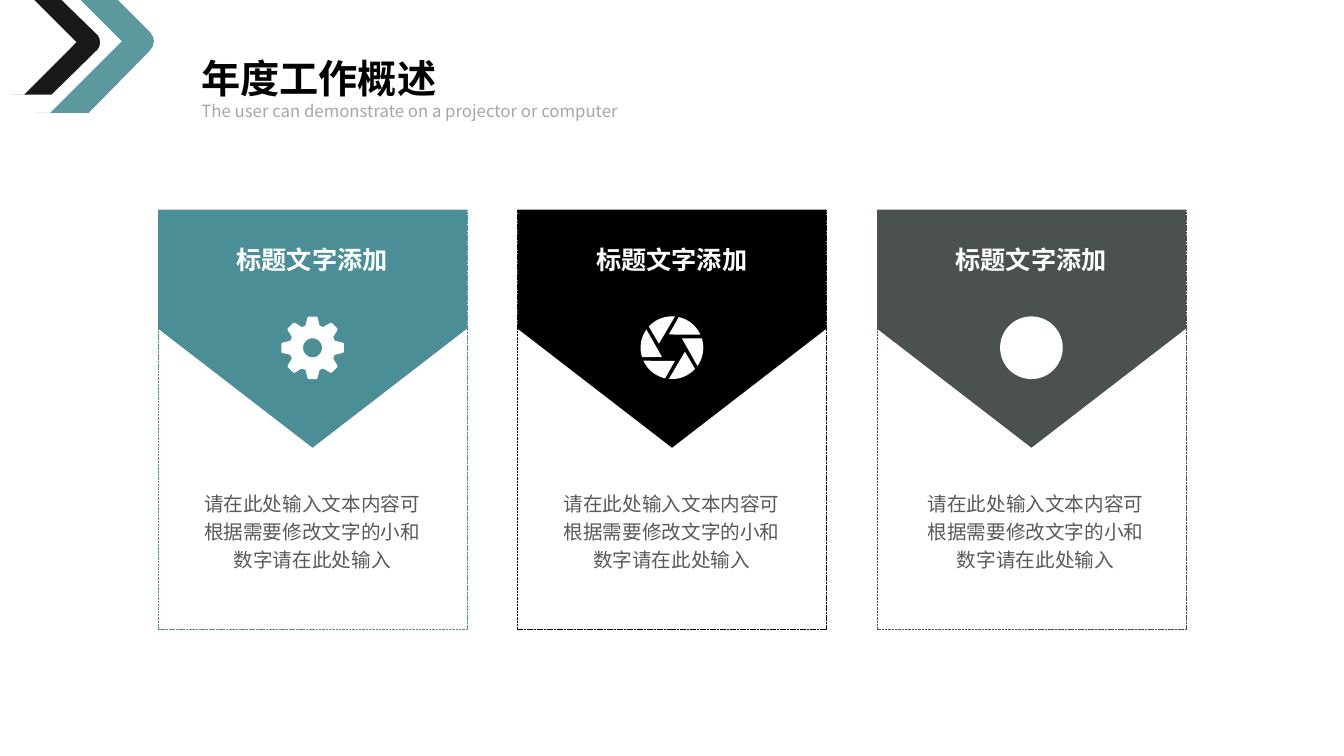
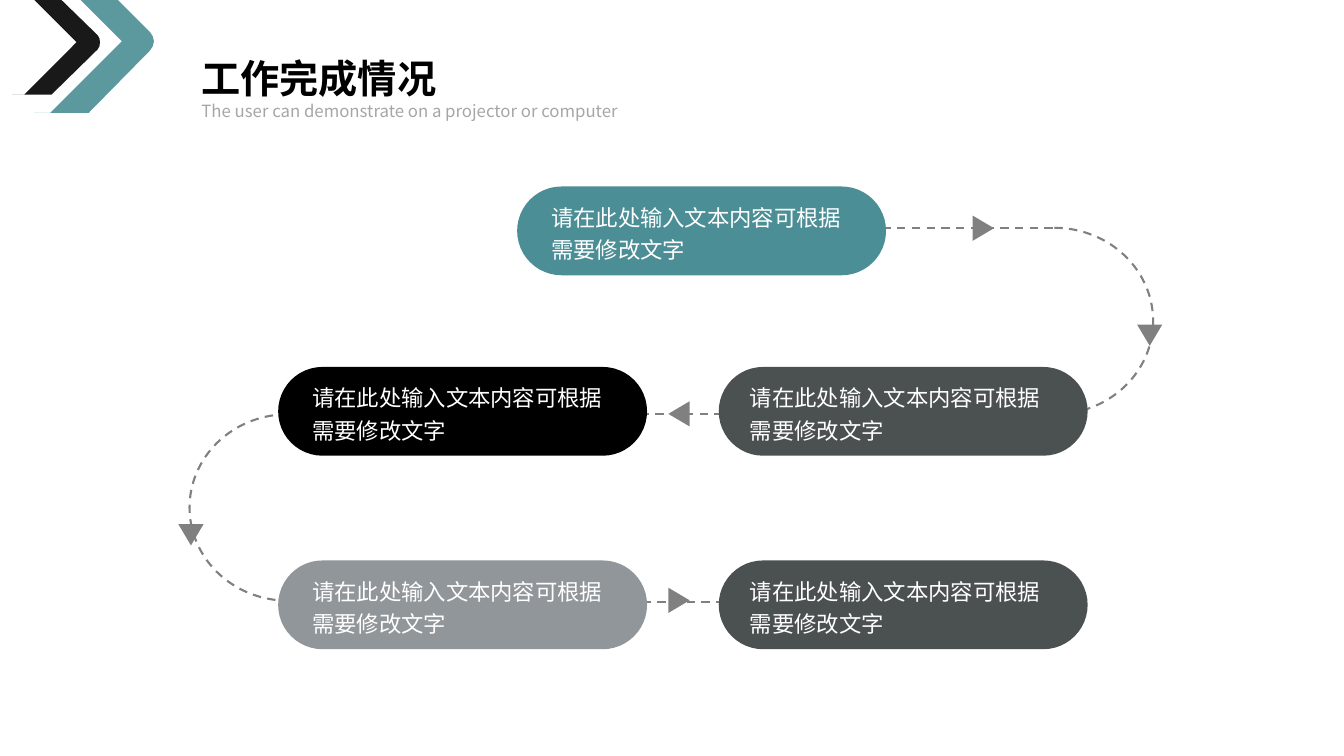
from dataclasses import dataclass
from math import cos, radians, sin

from lxml.etree import SubElement
from pptx import Presentation
from pptx.dml.color import RGBColor
from pptx.enum.dml import MSO_LINE as Dash
from pptx.enum.shapes import MSO_CONNECTOR as Connector, MSO_SHAPE as Shape
from pptx.enum.text import MSO_ANCHOR as Anchor, PP_ALIGN as Align
from pptx.oxml.ns import qn
from pptx.util import Pt


@dataclass(frozen=True)
class Theme:
    font: str = "Noto Sans CJK JP"
    teal: str = "4B8E95"
    black: str = "000000"
    slate: str = "4B5050"
    silver: str = "91969B"
    route: str = "808080"
    white: str = "FFFFFF"
    body: str = "595959"
    subtitle: str = "A6A6A6"
    title_size: int = 28
    subtitle_size: int = 12
    heading_size: int = 18
    body_size: int = 14
    step_size: int = 16
    spacing: float = 1.2


T = Theme()

SUBTITLE = "The user can demonstrate on a projector or computer"
CHEVRONS = [
    (T.teal, [(24.5, 80.6), (63.4, 80.6), (107.3, 36), (109.2, 33), (110, 29.5),
              (109.2, 26), (107.3, 23), (84.2, 0), (57.6, 0), (87.1, 29.5), (36, 80.6)]),
    (T.black, [(8.6, 67.7), (36.7, 67.7), (69.8, 35.3), (71.1, 33), (71.4, 30.2),
               (71.1, 27.5), (69.8, 25.2), (43.9, 0), (24.5, 0), (54.7, 30.2), (17.3, 67.7)]),
]

OVERVIEW_TITLE = "年度工作概述"
CARD_HEADING = "标题文字添加"
CARD_BODY = "请在此处输入文本内容可根据需要修改文字的小和数字请在此处输入"
CARDS = [(T.teal, "gear", 21.8), (T.black, "aperture", 21.8), (T.slate, "disc", 25)]
CARD_LEFT, CARD_TOP, CARD_PITCH = 113, 149.8, 256.75
CARD_WIDTH, CARD_HEIGHT, PENNANT_HEIGHT = 220.5, 299.5, 170
ICON_RADIUS, ICON_CENTER_Y = 22.4, 248.4

PROGRESS_TITLE = "工作完成情况"
STEP_TEXT = "请在此处输入文本内容可根据需要修改文字"
STEP_WIDTH, STEP_HEIGHT, STEP_INSETS = 263.5, 63.4, 30
LEFT_X, RIGHT_X = 198.7, 513.4
STEPS = [
    (369.4, 133.2, T.teal, 15),
    (LEFT_X, 262.1, T.black, 15),
    (LEFT_X, 400.3, T.silver, 15),
    (RIGHT_X, 262.1, T.slate, 13),
    (RIGHT_X, 400.3, T.slate, 13),
]
ROUTE_LINES = [(588.2, 752.4, 162.7), (205.2, 752.4, 295.9), (206.6, 524.2, 429.8)]
ROUTE_BENDS = [(682.6, 162.7, 162, 54.68), (135.4, 295.9, 53.32, 162)]
BEND_WIDTH, BEND_HEIGHT = 141.1, 133.2
ROUTE_MARKS = [(702.4, 163, 90), (485, 295.6, 270), (485, 428.8, 90),
               (821.2, 239.4, 180), (136.4, 382, 180)]
MARK_WIDTH, MARK_HEIGHT = 18, 15.2


def rgb(color):
    return RGBColor.from_string(color)


def paint(shape, fill=None, line=None, weight=1.5, dash=Dash.DASH):
    shape.shadow.inherit = False
    if fill:
        shape.fill.solid()
        shape.fill.fore_color.rgb = rgb(fill)
    else:
        shape.fill.background()
    if line:
        draw_line(shape.line, line, weight, dash)
    else:
        shape.line.fill.background()
    return shape


def draw_line(line, color, weight, dash):
    line.color.rgb = rgb(color)
    line.width = Pt(weight)
    line.dash_style = dash


def add_preset(slide, kind, left, top, width, height, **look):
    shape = slide.shapes.add_shape(kind, Pt(left), Pt(top), Pt(width), Pt(height))
    return paint(shape, **look)


def write(shape, text, size, color, bold=False, align=Align.LEFT, spacing=None):
    frame = shape.text_frame
    frame.text = text
    paragraph = frame.paragraphs[0]
    paragraph.alignment = align
    if spacing:
        paragraph.line_spacing = spacing
    font = paragraph.runs[0].font
    font.name, font.size, font.bold = T.font, Pt(size), bold
    font.color.rgb = rgb(color)
    SubElement(font._element, qn("a:ea")).set("typeface", T.font)


def add_text(slide, left, top, width, height, text, size, color, wrap=True, **style):
    box = slide.shapes.add_textbox(Pt(left), Pt(top), Pt(width), Pt(height))
    box.text_frame.word_wrap = wrap
    write(box, text, size, color, **style)


def add_outline(slide, contours, fill):
    to_points = [[(Pt(x), Pt(y)) for x, y in contour] for contour in contours]
    builder = slide.shapes.build_freeform(*to_points[0][0], scale=1.0)
    for index, contour in enumerate(to_points):
        if index:
            builder.move_to(*contour[0])
        builder.add_line_segments(contour[1:], close=True)
    return paint(builder.convert_to_shape(), fill)


def polar(x, y, radius, angle):
    return x + radius * cos(radians(angle)), y + radius * sin(radians(angle))


def gear_contours(x, y):
    tooth = [(16.6, -17.7), (21.9, -9.5), (22.5, -7.3), (22.5, 7.3), (21.9, 9.5), (16.6, 17.7)]
    rim = [polar(x, y, radius, turn + angle)
           for turn in range(0, 360, 45) for radius, angle in tooth]
    hole = [polar(x, y, 6.8, -angle) for angle in range(0, 360, 10)]
    return [rim, hole]


def aperture_contours(x, y):
    return [[polar(x, y, ICON_RADIUS, turn - 84.5 - 5.3 * step) for step in range(11)]
            + [polar(x, y, 9.7, turn - 162.9)]
            for turn in range(0, 360, 60)]


def add_icon(slide, kind, x, y):
    if kind == "disc":
        add_preset(slide, Shape.OVAL, x - ICON_RADIUS, y - ICON_RADIUS,
                   2 * ICON_RADIUS, 2 * ICON_RADIUS, fill=T.white)
    else:
        contours = {"gear": gear_contours, "aperture": aperture_contours}[kind]
        add_outline(slide, contours(x, y), T.white)


def add_page(deck, title):
    slide = deck.slides.add_slide(deck.slide_layouts[6])
    add_text(slide, 136.8, 35.3, 184.3, 41, title, T.title_size, T.black, wrap=False, bold=True)
    add_text(slide, 136.8, 68.4, 398.9, 21.6, SUBTITLE, T.subtitle_size, T.subtitle)
    for color, points in CHEVRONS:
        chevron = add_outline(slide, [points], color)
        tint = chevron._element.spPr.find(qn("a:solidFill"))[0]
        SubElement(tint, qn("a:alpha")).set("val", "90000")
    return slide


def build_overview(deck):
    slide = add_page(deck, OVERVIEW_TITLE)
    for index, (color, icon, body_indent) in enumerate(CARDS):
        left = CARD_LEFT + index * CARD_PITCH
        center = left + CARD_WIDTH / 2
        pennant = add_preset(slide, Shape.PENTAGON, center - PENNANT_HEIGHT / 2,
                             CARD_TOP + (PENNANT_HEIGHT - CARD_WIDTH) / 2,
                             PENNANT_HEIGHT, CARD_WIDTH, fill=color)
        pennant.rotation = 90
        add_icon(slide, icon, center, ICON_CENTER_Y)
        add_preset(slide, Shape.RECTANGLE, left, CARD_TOP, CARD_WIDTH, CARD_HEIGHT,
                   line=color, weight=0.25, dash=Dash.SQUARE_DOT)
        add_text(slide, left + 21.8, 167, 176.4, 31.7, CARD_HEADING, T.heading_size, T.white,
                 bold=True, align=Align.CENTER, spacing=T.spacing)
        add_text(slide, left + body_indent, 344.2, 176.4, 67, CARD_BODY, T.body_size, T.body,
                 align=Align.CENTER, spacing=T.spacing)


def build_progress(deck):
    slide = add_page(deck, PROGRESS_TITLE)
    for start, end, y in ROUTE_LINES:
        route = slide.shapes.add_connector(Connector.STRAIGHT, Pt(start), Pt(y), Pt(end), Pt(y))
        draw_line(route.line, T.route, 1.5, Dash.DASH)
        SubElement(route._element.spPr, qn("a:effectLst"))
    for left, top, start, end in ROUTE_BENDS:
        bend = add_preset(slide, Shape.ARC, left, top, BEND_WIDTH, BEND_HEIGHT, line=T.route)
        bend.adjustments[0], bend.adjustments[1] = start, end
    for x, y, rotation in ROUTE_MARKS:
        mark = add_preset(slide, Shape.ISOSCELES_TRIANGLE, x - MARK_WIDTH / 2,
                          y - MARK_HEIGHT / 2, MARK_WIDTH, MARK_HEIGHT, fill=T.route)
        mark.rotation = rotation
    for left, top, color, inset in STEPS:
        step = add_preset(slide, Shape.ROUNDED_RECTANGLE, left, top,
                          STEP_WIDTH, STEP_HEIGHT, fill=color)
        step.adjustments[0] = 0.5
        frame = step.text_frame
        frame.word_wrap = True
        frame.vertical_anchor = Anchor.MIDDLE
        frame.margin_left, frame.margin_right = Pt(inset), Pt(STEP_INSETS - inset)
        frame.margin_top = frame.margin_bottom = Pt(0)
        write(step, STEP_TEXT, T.step_size, T.white, spacing=T.spacing)


def main():
    deck = Presentation()
    deck.slide_width, deck.slide_height = Pt(960), Pt(540)
    build_overview(deck)
    build_progress(deck)
    deck.save("out.pptx")


if __name__ == "__main__":
    main()
